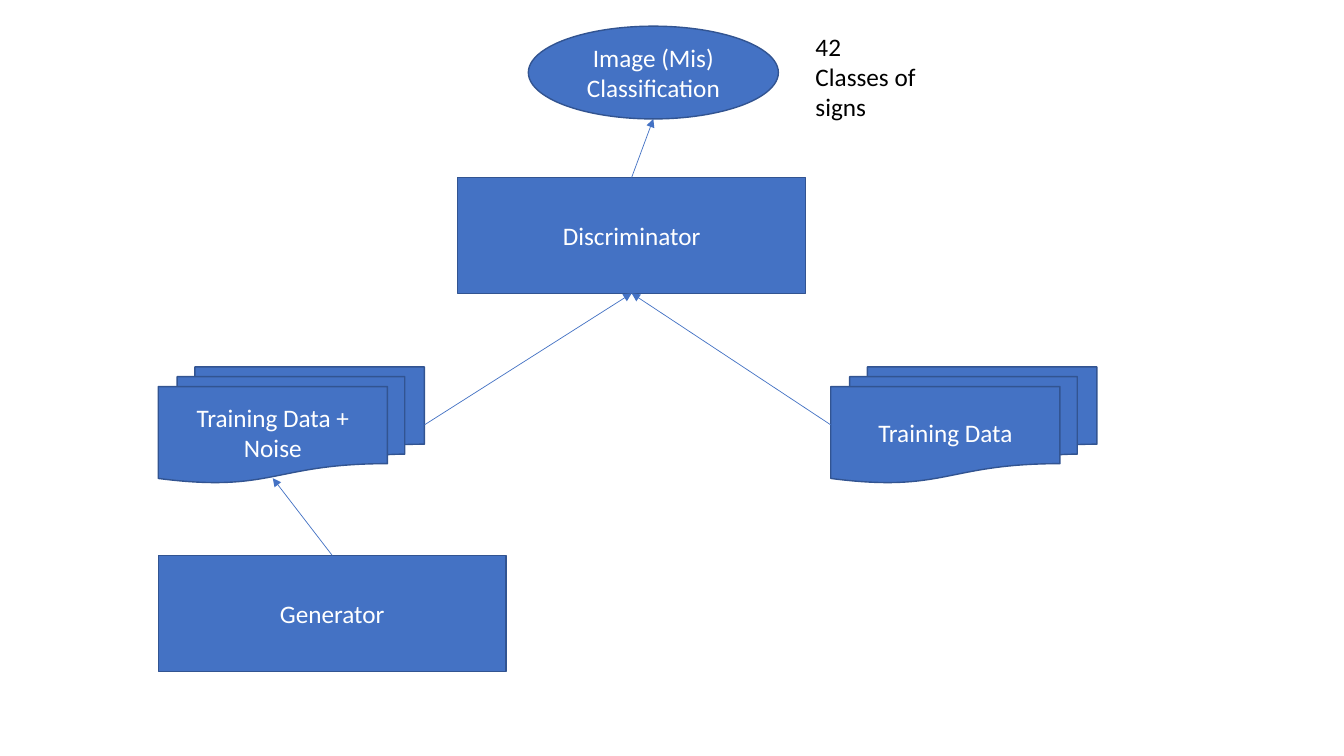
from pptx import Presentation
from pptx.dml.color import RGBColor
from pptx.enum.dml import MSO_LINE
from pptx.enum.shapes import MSO_CONNECTOR, MSO_SHAPE
from pptx.enum.text import MSO_ANCHOR, PP_ALIGN
from pptx.oxml.ns import qn
from pptx.util import Inches, Pt
from lxml import etree

RECT = MSO_SHAPE.RECTANGLE
OVAL = MSO_SHAPE.OVAL
STACK = MSO_SHAPE.FLOWCHART_MULTIDOCUMENT
STRAIGHT = MSO_CONNECTOR.STRAIGHT
SOLID = MSO_LINE.SOLID
MIDDLE, TOP = MSO_ANCHOR.MIDDLE, MSO_ANCHOR.TOP
CENTER, LEFT = PP_ALIGN.CENTER, PP_ALIGN.LEFT

BLUE, EDGE, WHITE, BLACK = "4472C4", "325491", "FFFFFF", "000000"
FONT = {"name": "Calibri", "size": Pt(18)}


def paint(part, color):
    part.rgb = RGBColor.from_string(color)


def style(part, values):
    for key, value in values.items():
        setattr(part, key, value)


def write(shape, text, color, align, anchor):
    frame = shape.text_frame
    style(frame, {"word_wrap": True, "vertical_anchor": anchor})
    para = frame.paragraphs[0]
    para.alignment = align
    run = para.add_run()
    run.text = text
    style(run.font, FONT)
    paint(run.font.color, color)


def add_node(slide, kind, box, text):
    node = slide.shapes.add_shape(kind, *map(Inches, box))
    node.shadow.inherit = False
    node.fill.solid()
    paint(node.fill.fore_color, BLUE)
    paint(node.line.color, EDGE)
    node.line.width = Pt(1)
    write(node, text, WHITE, CENTER, MIDDLE)


def add_label(slide, box, text):
    label = slide.shapes.add_textbox(*map(Inches, box))
    write(label, text, BLACK, LEFT, TOP)


def add_arrow(slide, start, end):
    arrow = slide.shapes.add_connector(STRAIGHT, *map(Inches, start + end))
    paint(arrow.line.color, BLUE)
    style(arrow.line, {"width": Pt(0.5), "dash_style": SOLID})
    props = arrow._element.spPr
    etree.SubElement(props.find(qn("a:ln")), qn("a:tailEnd"), type="triangle")
    etree.SubElement(props, qn("a:effectLst"))


def spot(box, across, down):
    left, top, width, height = box
    return left + across * width, top + down * height


def add_flow(slide, box):
    left, top, width, height = box
    wide, tall, pile = 3.45, 1.15, 2.64
    row = top + 3.38
    result = (left + 3.67, top, 2.48, 0.92)
    judge = (left + 2.97, top + 1.5, wide, tall)
    maker = (left, top + height - tall, wide, tall)
    noisy = (left, row, pile, tall)
    clean = (left + width - pile, row, pile, tall)

    add_node(slide, RECT, judge, "Discriminator")
    add_node(slide, RECT, maker, "Generator")
    add_node(slide, STACK, clean, "Training Data")
    add_node(slide, STACK, noisy, "Training Data + Noise")

    add_arrow(slide, spot(maker, 0.5, 0), spot(noisy, 0.43, 0.96))
    add_arrow(slide, spot(noisy, 1, 0.5), spot(judge, 0.5, 1))
    add_arrow(slide, spot(clean, 0, 0.5), spot(judge, 0.5, 1))
    add_arrow(slide, spot(judge, 0.5, 0), spot(result, 0.5, 1))

    add_node(slide, OVAL, result, "Image (Mis) Classification")
    add_label(slide, (left + 6.42, top, 1.2, 1.01), "42 Classes of signs")


deck = Presentation()
style(deck, {"slide_width": Inches(13.33), "slide_height": Inches(7.5)})
page = deck.slides.add_slide(deck.slide_layouts[6])
add_flow(page, (1.57, 0.26, 9.31, 6.4))
deck.save("out.pptx")
